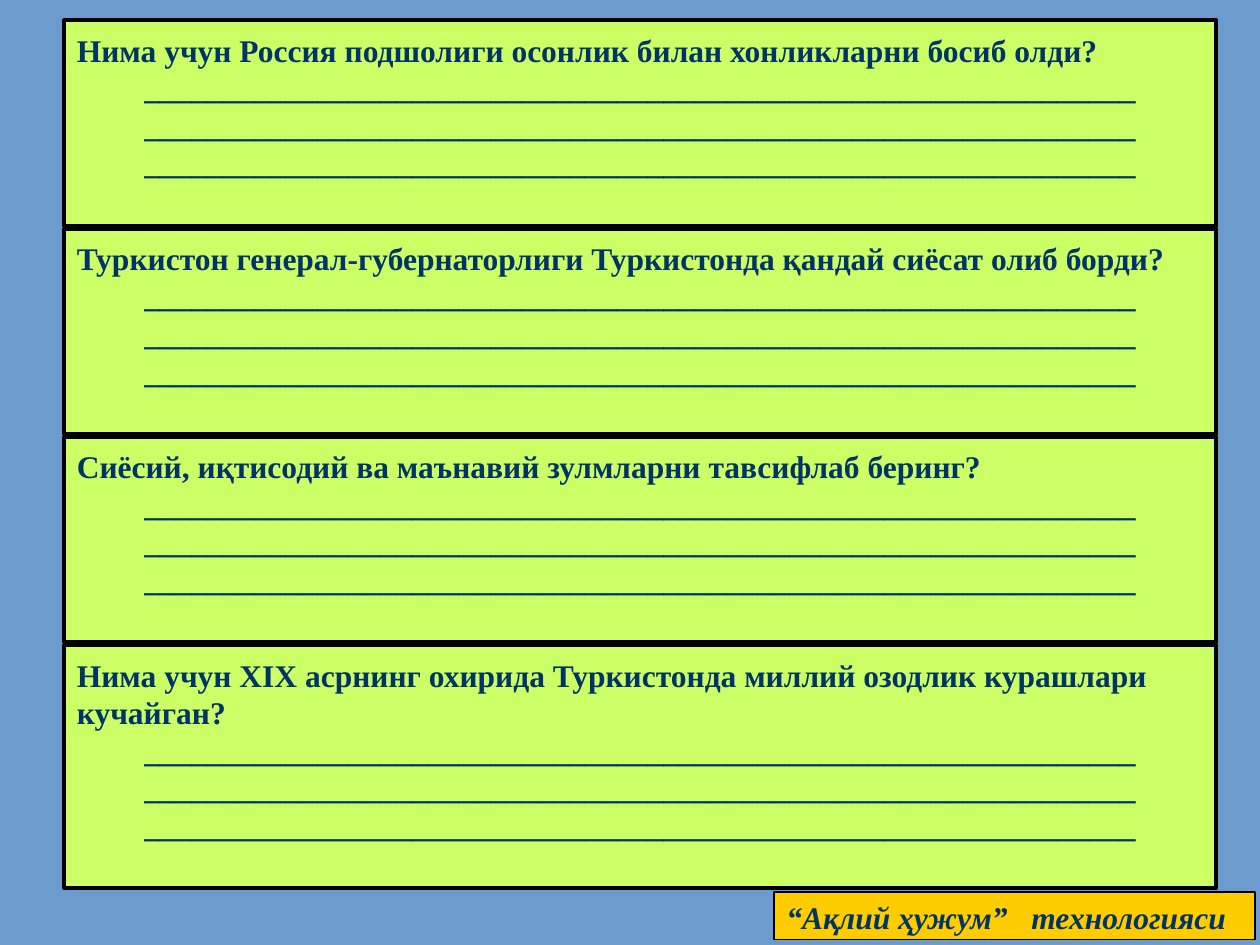
from dataclasses import dataclass
from pptx import Presentation
from pptx.dml.color import RGBColor
from pptx.enum.shapes import MSO_SHAPE
from pptx.enum.text import MSO_ANCHOR, PP_ALIGN
from pptx.util import Cm, Pt


@dataclass(frozen=True)
class Theme:
    back: RGBColor = RGBColor(0x6C, 0x9B, 0xCE)
    card: RGBColor = RGBColor(0xCC, 0xFF, 0x66)
    label: RGBColor = RGBColor(0xFF, 0xCC, 0x00)
    edge: RGBColor = RGBColor(0, 0, 0)
    ink: RGBColor = RGBColor(0x00, 0x33, 0x66)
    font: str = "Times New Roman"
    size: Pt = Pt(18)
    pitch: Pt = Pt(21.5)


@dataclass(frozen=True)
class Card:
    ask: str
    height: float = 4.14


THEME = Theme()
LEFT, TOP, WIDTH, GAP = 1.3, 0.41, 23.22, 0.06
RULES = 3
RULE = "_" * 63
CARDS = [
    Card("Нима учун Россия подшолиги осонлик билан хонликларни босиб олди?"),
    Card("Туркистон генерал-губернаторлиги Туркистонда қандай сиёсат олиб борди?"),
    Card("Сиёсий, иқтисодий ва маънавий зулмларни тавсифлаб беринг?"),
    Card("Нима учун XIX асрнинг охирида Туркистонда миллий озодлик курашлари "
         "кучайган?", 4.9),
]


def paint(shape, fill: RGBColor, width: float) -> None:
    shape.fill.solid()
    shape.fill.fore_color.rgb = fill
    shape.line.color.rgb = THEME.edge
    shape.line.width = Pt(width)


def write(para, text: str, italic: bool = False):
    run = para.add_run()
    run.text = text
    font = run.font
    font.name, font.size = THEME.font, THEME.size
    font.bold, font.italic = True, italic
    font.color.rgb = THEME.ink
    return run


def draw_label(shape) -> None:
    shape.left, shape.top = Cm(15.6), Cm(17.98)
    shape.width, shape.height = Cm(9.7), Cm(0.96)
    paint(shape, THEME.label, 0.75)
    frame = shape.text_frame
    frame.word_wrap = False
    frame.vertical_anchor = MSO_ANCHOR.TOP
    para = frame.paragraphs[0]
    para.alignment = PP_ALIGN.LEFT
    write(para, "“Ақлий ҳужум”", True)
    space = write(para, " ", True)
    space.font._element.set("spc", "900")  # wide gap between the two parts
    write(para, "технологияси", True)


def draw_card(slide, card: Card, top: float) -> None:
    shape = slide.shapes.add_shape(
        MSO_SHAPE.RECTANGLE, Cm(LEFT), Cm(top), Cm(WIDTH), Cm(card.height))
    shape.shadow.inherit = False
    paint(shape, THEME.card, 2.25)
    frame = shape.text_frame
    frame.word_wrap = True
    frame.vertical_anchor = MSO_ANCHOR.TOP
    frame.margin_top = Cm(0.21)
    lines = [(card.ask, PP_ALIGN.LEFT)] + [(RULE, PP_ALIGN.CENTER)] * RULES
    for i, (text, align) in enumerate(lines):
        para = frame.add_paragraph() if i else frame.paragraphs[0]
        para.alignment = align
        para.line_spacing = THEME.pitch
        write(para, text)


def main() -> None:
    deck = Presentation()
    deck.slide_width, deck.slide_height = Cm(25.4), Cm(19.05)
    slide = deck.slides.add_slide(deck.slide_layouts[5])
    fill = slide.background.fill
    fill.solid()
    fill.fore_color.rgb = THEME.back
    draw_label(slide.shapes.title)
    top = TOP
    for card in CARDS:
        draw_card(slide, card, top)
        top += card.height + GAP
    deck.save("out.pptx")


if __name__ == "__main__":
    main()
